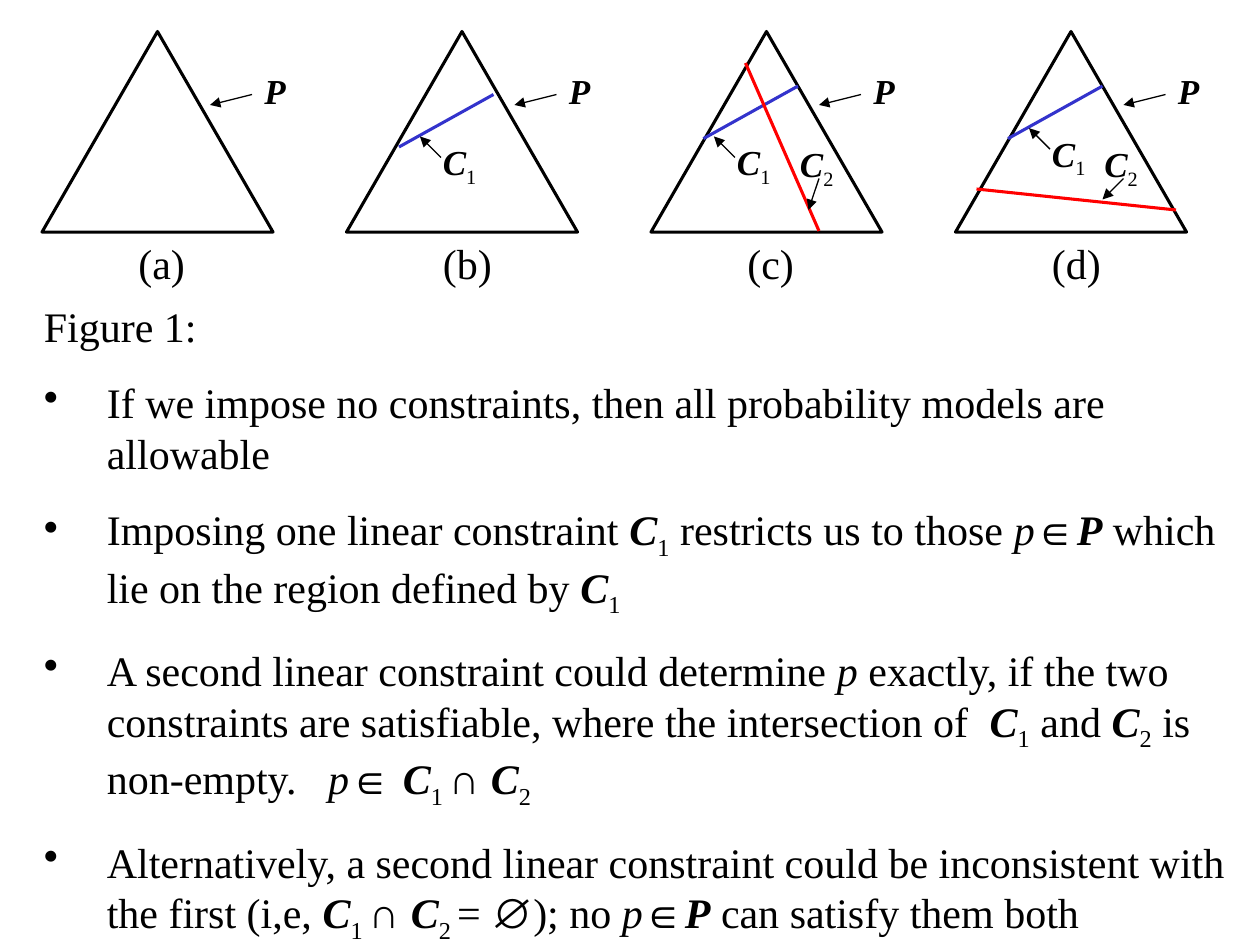
from dataclasses import dataclass

from lxml import etree
from pptx import Presentation
from pptx.dml.color import RGBColor
from pptx.enum.shapes import MSO_CONNECTOR, MSO_SHAPE
from pptx.enum.text import MSO_AUTO_SIZE
from pptx.oxml.ns import qn
from pptx.util import Pt

LINE = MSO_CONNECTOR.STRAIGHT
TRIANGLE = MSO_SHAPE.ISOSCELES_TRIANGLE
GROW = MSO_AUTO_SIZE.SHAPE_TO_FIT_TEXT
SCALE = 7620
BLANK = 6


@dataclass(frozen=True)
class Theme:
    ink: str = "000000"
    first: str = "3333CC"
    second: str = "FF0000"
    font: str = "Times New Roman"
    math: str = "Arial"
    body: int = 24
    label: int = 20
    thick: float = 1.75
    thin: float = 0.75


def px(n):
    return n * SCALE


def color(code):
    return RGBColor.from_string(code)


class Sketch:
    def __init__(self, slide, theme):
        self.slide = slide
        self.theme = theme

    def triangle(self, x, y, w, h):
        shape = self.slide.shapes.add_shape(TRIANGLE, px(x), px(y), px(w), px(h))
        shape.shadow.inherit = False
        shape.fill.background()
        shape.line.color.rgb = color(self.theme.ink)
        shape.line.width = Pt(self.theme.thick)

    def line(self, start, end, tint, width):
        line = self.slide.shapes.add_connector(LINE, *map(px, start + end))
        line.line.color.rgb = color(tint)
        line.line.width = Pt(width)
        etree.SubElement(line._element.spPr, qn("a:effectLst"))
        return line

    def arrow(self, start, end):
        line = self.line(start, end, self.theme.ink, self.theme.thin)
        stroke = line._element.spPr.find(qn("a:ln"))
        etree.SubElement(stroke, qn("a:tailEnd"), type="triangle")

    def text(self, x, y, w, h, lines, size, gap):
        box = self.slide.shapes.add_textbox(px(x), px(y), px(w), px(h))
        frame = box.text_frame
        frame.word_wrap = True
        frame.auto_size = GROW
        for i, line in enumerate(lines):
            para = frame.paragraphs[0] if i == 0 else frame.add_paragraph()
            para.space_before = Pt(gap)
            self.runs(para, line, size)
        return frame

    def runs(self, para, line, size):
        para.font.name = self.theme.font
        para.font.size = Pt(size)
        para.font.color.rgb = color(self.theme.ink)
        for part in line.split("|"):
            mark = part[0] if part[0] in "*/_~" else ""
            run = para.add_run()
            run.text = part[len(mark):]
            if mark == "*":
                run.font.bold = True
            if mark and mark in "*/":
                run.font.italic = True
            if mark == "_":
                run.font._element.set("baseline", "-25000")
            if mark == "~":
                run.font.name = self.theme.math

    def label(self, x, y, w, h, line):
        self.text(x, y, w, h, [line], self.theme.label, 12.5)

    def bullets(self, x, y, w, h, lines):
        frame = self.text(x, y, w, h, lines, self.theme.body, 15)
        for i, para in enumerate(frame.paragraphs):
            props = para._p.get_or_add_pPr()
            props.set("marL", str(px(60)))
            props.set("indent", str(px(-60)))
            if i:
                last = props.find(qn("a:defRPr"))
                tint = etree.Element(qn("a:buClr"))
                etree.SubElement(tint, qn("a:srgbClr"), val=self.theme.ink)
                last.addprevious(tint)
                last.addprevious(etree.Element(qn("a:buChar"), char="•"))

    def panel(self, x, name, width, cuts):
        def at(point):
            return x + point[0], point[1]

        self.triangle(x, 30, 220, 191)
        self.text(x + 80, 220, width, 60, [name], self.theme.body, 15)
        self.arrow(at((200, 90)), at((160, 100)))
        self.label(x + 200, 60, 50, 53, "*P")
        tints = self.theme.first, self.theme.second
        for i, (start, end, tail, tip, spot) in enumerate(cuts):
            self.line(at(start), at(end), tints[i], self.theme.thick)
            self.arrow(at(tail), at(tip))
            self.label(*at(spot), 60, 58, f"*C|_{i + 1}")


PANELS = [
    ("(a)", 84, []),
    ("(b)", 82, [((140, 90), (50, 140), (90, 150), (70, 130), (80, 128))]),
    ("(c)", 92, [((140, 82), (50, 132), (80, 150), (60, 130), (70, 128)),
                 ((90, 60), (160, 220), (160, 170), (150, 200), (130, 130))]),
    ("(d)", 102, [((140, 82), (50, 132), (90, 142), (70, 122), (80, 120)),
                  ((20, 180), (210, 200), (160, 170), (140, 190), (130, 130))]),
]

NOTES = [
    "Figure 1:",
    "If we impose no constraints, then all probability models are allowable",
    "Imposing one linear constraint |*C|_1| restricts us to those |/p|~∈|*P"
    "| which lie on the region defined by |*C|_1",
    "A second linear constraint could determine |/p| exactly, if the two "
    "constraints are satisfiable, where the intersection of  |*C|_1| and |*C|_2"
    "| is non-empty.   |/p|~∈ |*C|_1 |~∩ |*C|_2",
    "Alternatively, a second linear constraint could be inconsistent with the "
    "first (i,e, |*C|_1 |~∩ |*C|_2 |= |~∅|); no |/p|~∈|*P| can satisfy them both",
]


def main():
    deck = Presentation()
    deck.slide_width, deck.slide_height = px(1200), px(900)
    slide = deck.slides.add_slide(deck.slide_layouts[BLANK])
    sketch = Sketch(slide, Theme())
    for i, panel in enumerate(PANELS):
        sketch.panel(40 + 290 * i, *panel)
    sketch.bullets(30, 280, 1150, 625, NOTES)
    deck.save("out.pptx")


if __name__ == "__main__":
    main()
